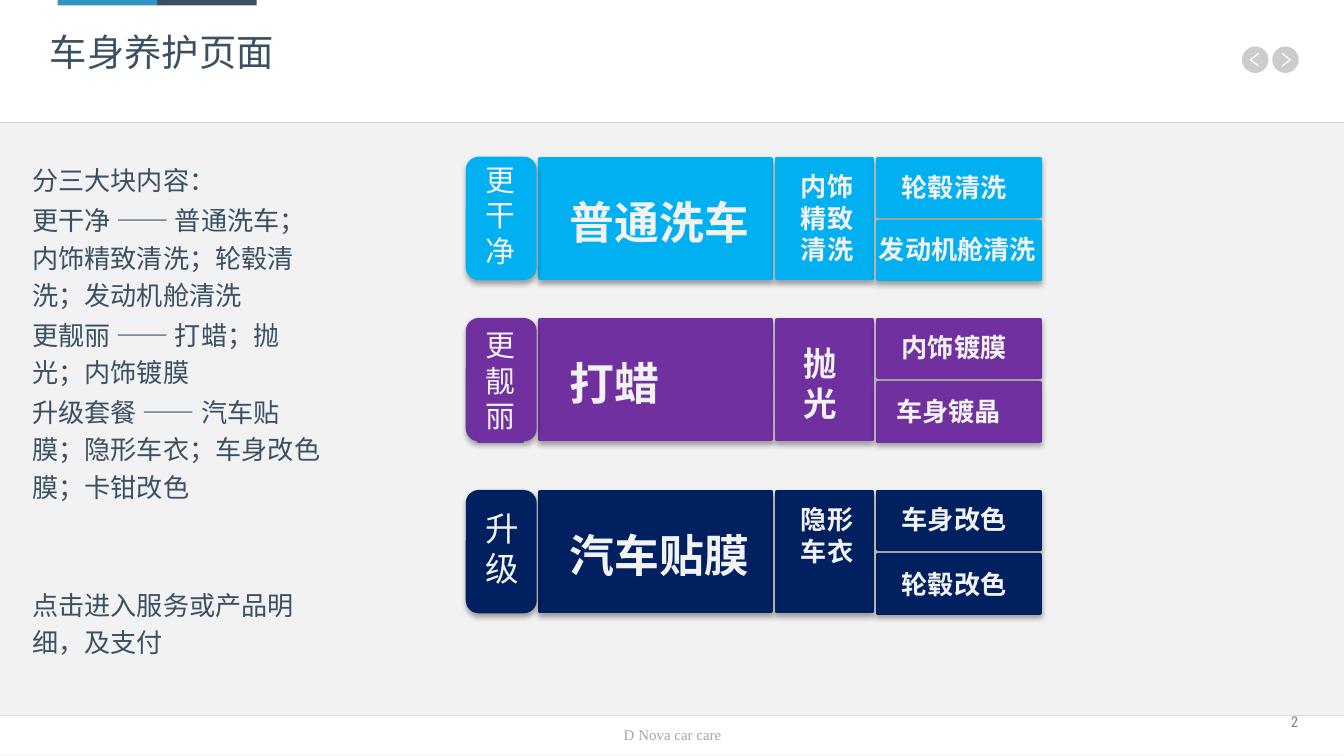
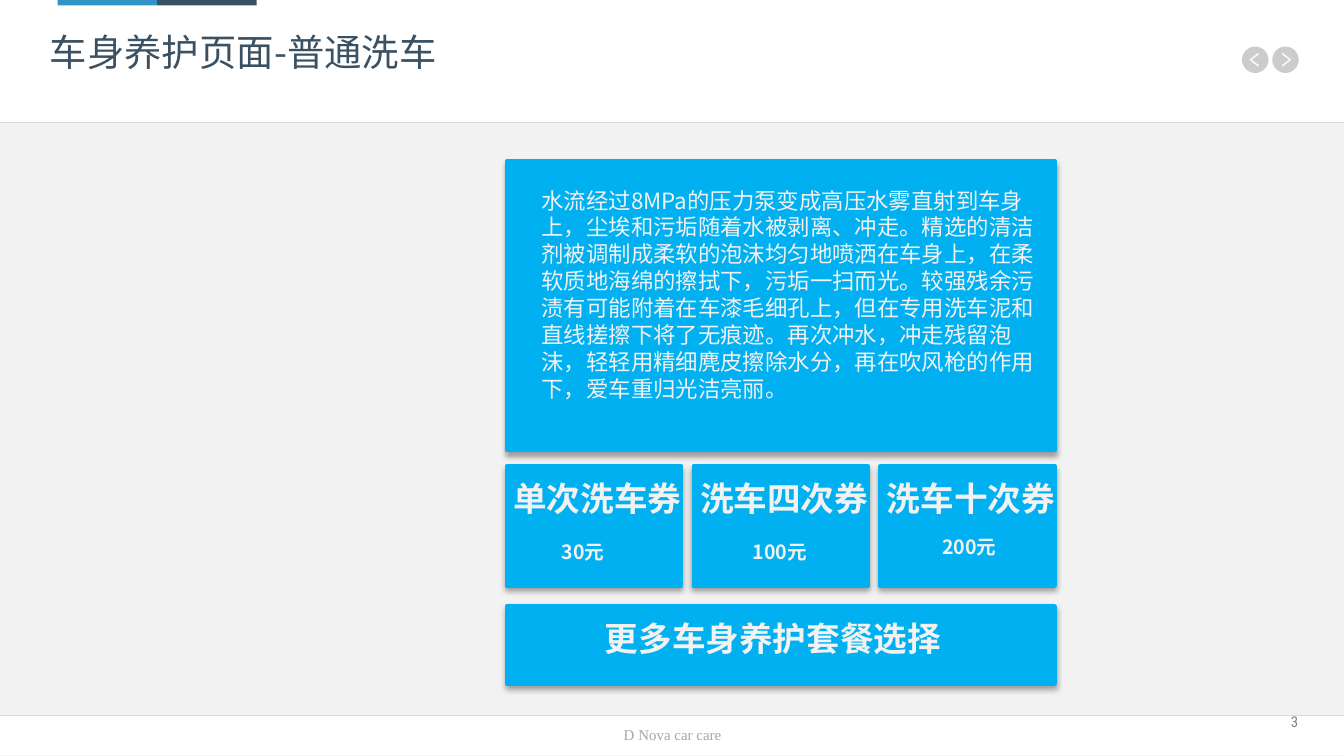
import math
from dataclasses import dataclass

from lxml import etree
from pptx import Presentation
from pptx import util as u
from pptx.dml.color import RGBColor
from pptx.enum import shapes, text
from pptx.oxml import ns

PX = 9144  # EMU in one px, 100 px to the inch


@dataclass(frozen=True)
class Theme:
    page: str = "F2F2F2"
    band: str = "FFFFFF"
    rule: str = "D9D9D9"
    accent: str = "3194C6"
    ink: str = "3A5063"
    footer: str = "A6A6A6"
    number: str = "808080"
    button: str = "000000"
    light: str = "F2F2F2"
    cyan: str = "00B0F0"
    purple: str = "7030A0"
    navy: str = "002060"
    font: str = "Noto Sans CJK SC"
    footer_font: str = "Times New Roman"
    number_font: str = "Roboto Condensed"
    title_size: float = 20
    hero_size: float = 24
    large_size: float = 18
    tab_size: float = 16
    body_size: float = 14
    detail_size: float = 12
    price_size: float = 10.5
    small_size: float = 8


theme = Theme()
RECT = shapes.MSO_SHAPE.RECTANGLE
ROUNDED = shapes.MSO_SHAPE.ROUNDED_RECTANGLE


def add_block(slide, box, fill=None, line=0, kind=RECT, shadow=False):
    """Add a preset shape, or a text box when kind is None."""
    box = [value * PX for value in box]
    if kind is None:
        shape = slide.shapes.add_textbox(*box)
    else:
        shape = slide.shapes.add_shape(kind, *box)
        shape.shadow.inherit = False
    if fill:
        shape.fill.solid()
        shape.fill.fore_color.rgb = RGBColor.from_string(fill)
    if line:
        shape.line.color.rgb = RGBColor.from_string(fill)
        shape.line.width = u.Pt(line)
    else:
        shape.line.fill.background()
    if shadow:
        effects = next(shape.element.iter(ns.qn("a:effectLst")))
        outer = etree.SubElement(effects, ns.qn("a:outerShdw"), blurRad=str(u.Pt(3)),
                                 dist=str(u.Pt(1.8)), dir="5400000", rotWithShape="0")
        color = etree.SubElement(outer, ns.qn("a:srgbClr"), val="000000")
        etree.SubElement(color, ns.qn("a:alpha"), val="35000")
    return shape


def write(shape, wording, size, color=theme.light, bold=False, font=theme.font,
          align=text.PP_ALIGN.LEFT, inset=5, grow=True):
    """Fill a shape with text, one paragraph to a line of wording."""
    frame = shape.text_frame
    frame.word_wrap = True
    frame.auto_size = text.MSO_AUTO_SIZE.SHAPE_TO_FIT_TEXT if grow else text.MSO_AUTO_SIZE.NONE
    frame.vertical_anchor = text.MSO_ANCHOR.TOP
    frame.margin_left = frame.margin_right = frame.margin_top = frame.margin_bottom = inset * PX
    frame.text = wording
    for paragraph in frame.paragraphs:
        paragraph.alignment = align
        paragraph.font.size = u.Pt(size)
        paragraph.font.bold = bold
        paragraph.font.name = font
        paragraph.font.color.rgb = RGBColor.from_string(color)
    for properties in shape.element.iter(ns.qn("a:pPr")):
        properties.set("hangingPunct", "0")
        etree.SubElement(properties.find(ns.qn("a:defRPr")), ns.qn("a:ea"), typeface=font)
    return frame


presentation = Presentation()
presentation.slide_width = 1000 * PX
presentation.slide_height = presentation.slide_width * 9 // 16
master = presentation.slide_master
master.background.fill.solid()
master.background.fill.fore_color.rgb = RGBColor.from_string(theme.page)
overview = presentation.slides.add_slide(presentation.slide_layouts[1])
wash = presentation.slides.add_slide(presentation.slide_layouts[5])

# Shared bands, rules and colour tabs
for box, fill in (
    ((0, 0, 1000, 91), theme.band),
    ((0, 532, 1000, 30), theme.band),
    ((43, 0, 74, 4), theme.accent),
    ((117, 0, 74, 4), theme.ink),
):
    add_block(overview, box, fill)
for top in (91, 532):
    rule = overview.shapes.add_connector(
        shapes.MSO_CONNECTOR.STRAIGHT, 0, top * PX, 1000 * PX, top * PX)
    rule.line.color.rgb = RGBColor.from_string(theme.rule)
    rule.line.width = u.Pt(0.25)
    etree.SubElement(rule.element.spPr, ns.qn("a:effectLst"))
write(add_block(overview, (365, 535, 271, 24), kind=None), "D Nova car care",
      theme.small_size, theme.footer, font=theme.footer_font, align=text.PP_ALIGN.CENTER)

# Shared round buttons with a chevron cut out, in tenths of a px
chevron = [(-25, -55), (-25, -38), (27, 0), (-25, 38), (-25, 55), (45, 0)]
for center, direction in ((9565, 1), (9340, -1)):
    circle = [(center + 98 * math.cos(math.radians(angle)),
               445 + 98 * math.sin(math.radians(angle))) for angle in range(0, 360, 10)]
    arrow = [(center + direction * x, 445 + y) for x, y in chevron]
    builder = overview.shapes.build_freeform(*circle[0], scale=PX / 10)
    builder.add_line_segments(circle[1:], close=True)
    builder.move_to(*arrow[0])
    builder.add_line_segments(arrow[1:], close=True)
    button = builder.convert_to_shape()
    button.shadow.inherit = False
    button.line.fill.background()
    button.fill.solid()
    button.fill.fore_color.rgb = RGBColor.from_string(theme.button)
    color = next(button.element.spPr.iter(ns.qn("a:srgbClr")))
    etree.SubElement(color, ns.qn("a:alpha"), val="20000")

# Move the shared parts to the slide master
shared = [shape for shape in overview.shapes if not shape.is_placeholder]
for number, shape in enumerate(shared, 100):
    next(shape.element.iter(ns.qn("p:cNvPr"))).set("id", str(number))
    master.shapes.element.append(shape.element)

# Titles and page numbers
for slide, heading, number in (
    (overview, "车身养护页面", "2"),
    (wash, "车身养护页面-普通洗车", "3"),
):
    title = slide.shapes.title
    title.left, title.top, title.width, title.height = (v * PX for v in (32, 17, 649, 47))
    write(title, heading, theme.title_size, theme.ink, grow=False)
    frame = write(add_block(slide, (925, 530, 41, 14), kind=None), number, theme.small_size,
                  theme.number, font=theme.number_font, align=text.PP_ALIGN.RIGHT,
                  inset=0, grow=False)
    frame.vertical_anchor = text.MSO_ANCHOR.MIDDLE

# Overview: list of contents
body = overview.placeholders[1]
body.left, body.top, body.width, body.height = (v * PX for v in (19, 113, 229, 416))
contents = [
    "分三大块内容：",
    "更干净 —— 普通洗车；内饰精致清洗；轮毂清洗；发动机舱清洗",
    "更靓丽 —— 打蜡；抛光；内饰镀膜",
    "升级套餐 —— 汽车贴膜；隐形车衣；车身改色膜；卡钳改色",
    "点击进入服务或产品明细，及支付",
]
frame = write(body, "\n".join(contents), theme.body_size, theme.ink, grow=False)
for paragraph in frame.paragraphs:
    paragraph.line_spacing = 1.2
    paragraph.space_before = u.Pt(1)
frame.paragraphs[-1].space_before = u.Pt(43)
for properties in body.element.iter(ns.qn("a:pPr")):
    properties.set("marL", "0")
    properties.set("indent", "0")
    properties.find(ns.qn("a:defRPr")).addprevious(etree.Element(ns.qn("a:buNone")))

# Overview: three rows of service cards, labels placed from the top of the row
cards = [
    (402, 0, 172, 89, RECT),
    (578, 0, 71, 89, RECT),
    (653, 0, 121, 43, RECT),
    (653, 47, 121, 43, RECT),
    (348, 0, 50, 89, ROUNDED),
]
rows = [
    (118, theme.cyan, False, [
        ("普通洗车", (419, 22, 149, 50), theme.hero_size),
        ("内饰精致清洗", (591, 4, 54, 81), theme.body_size),
        ("轮毂清洗", (666, 5, 96, 34), theme.body_size),
        ("发动机舱清洗", (649, 51, 130, 34), theme.body_size),
        ("更干净", (356, -3, 33, 91), theme.tab_size),
    ]),
    (238, theme.purple, True, [
        ("打蜡", (419, 22, 149, 50), theme.hero_size),
        ("抛光", (593, 12, 54, 71), theme.large_size),
        ("内饰镀膜", (666, 4, 96, 34), theme.body_size),
        ("车身镀晶", (662, 51, 107, 34), theme.body_size),
        ("更靓丽", (356, 0, 33, 91), theme.tab_size),
    ]),
    (366, theme.navy, True, [
        ("汽车贴膜", (419, 22, 149, 50), theme.hero_size),
        ("隐形车衣", (591, 4, 54, 57), theme.body_size),
        ("车身改色", (666, 4, 96, 34), theme.body_size),
        ("轮毂改色", (666, 52, 105, 34), theme.body_size),
        ("升级", (356, 7, 33, 71), theme.large_size),
    ]),
]
for row_top, color, filled, labels in rows:
    for left, drop, width, height, kind in cards:
        add_block(overview, (left, row_top + drop, width, height), color, 2, kind, shadow=True)
    for wording, (left, drop, width, height), size in labels:
        label = add_block(overview, (left, row_top + drop, width, height),
                          color if filled else None, 1 if filled else 0, kind=None)
        write(label, wording, size, bold=wording != labels[-1][0])

# Wash: description
add_block(wash, (377, 120, 408, 215), theme.cyan, 2, shadow=True)
write(add_block(wash, (398, 134, 380, 172), kind=None),
      "水流经过8MPa的压力泵变成高压水雾直射到车身上，尘埃和污垢随着水被剥离、冲走。"
      "精选的清洁剂被调制成柔软的泡沫均匀地喷洒在车身上，在柔软质地海绵的擦拭下，污垢一扫而光。"
      "较强残余污渍有可能附着在车漆毛细孔上，但在专用洗车泥和直线搓擦下将了无痕迹。"
      "再次冲水，冲走残留泡沫，轻轻用精细麂皮擦除水分，再在吹风枪的作用下，爱车重归光洁亮丽。",
      theme.detail_size)

# Wash: coupons
coupons = [
    ("单次洗车券", "30元", (413, 397, 46, 28)),
    ("洗车四次券", "100元", (555, 397, 81, 28)),
    ("洗车十次券", "200元", (696, 393, 66, 28)),
]
for index, (name, price, price_box) in enumerate(coupons):
    left = 377 + 139 * index
    add_block(wash, (left, 347, 130, 89), theme.cyan, 2, shadow=True)
    write(add_block(wash, (left, 351, 136, 40), kind=None), name, theme.large_size, bold=True)
    write(add_block(wash, price_box, kind=None), price, theme.price_size, bold=True)

# Wash: link to more packages
add_block(wash, (377, 451, 408, 58), theme.cyan, 2, shadow=True)
write(add_block(wash, (445, 455, 371, 40), kind=None), "更多车身养护套餐选择",
      theme.large_size, bold=True)

presentation.save("out.pptx")
